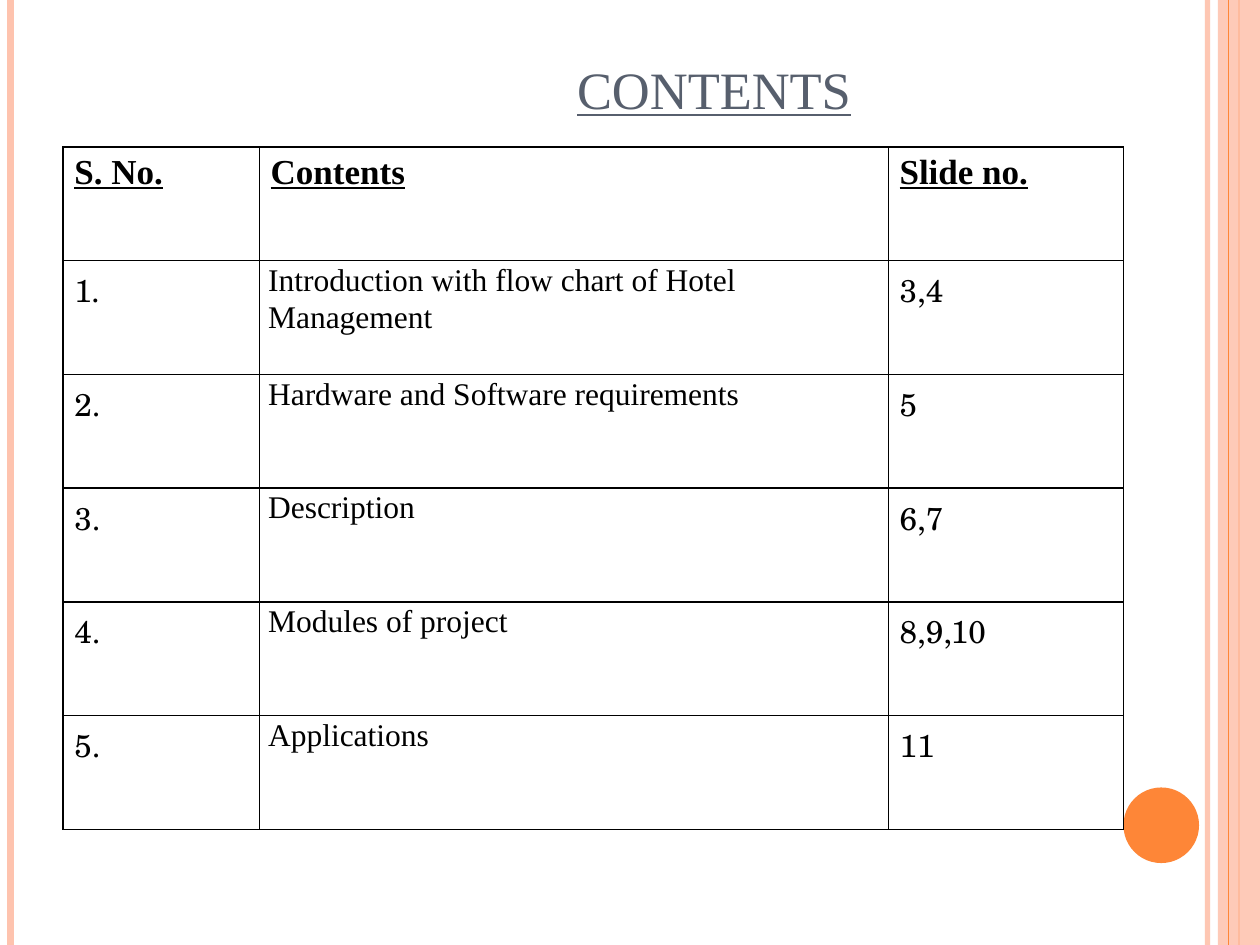
from dataclasses import dataclass
from lxml import etree
from pptx import Presentation
from pptx import util as u
from pptx.dml.color import RGBColor
from pptx.enum import shapes, text
from pptx.oxml.ns import qn


@dataclass(frozen=True)
class Theme:
    peach: str = "FEC3AE"
    orange: str = "FE8637"
    slate: str = "575F6D"
    black: str = "000000"
    serif: str = "Times New Roman"
    school: str = "TeX Gyre Schola"
    title: int = 30
    header: int = 20
    body: int = 18
    border: int = 1


class ContentsSlide:
    COLUMNS, ROWS = 120, 90

    def __init__(self, presentation, theme):
        self.theme = theme
        self.slide = presentation.slides.add_slide(presentation.slide_layouts[6])
        self.column = presentation.slide_width / self.COLUMNS
        self.row = presentation.slide_height / self.ROWS

    def box(self, left, top, width, height):
        return [int(left * self.column), int(top * self.row),
                int(width * self.column), int(height * self.row)]

    def apply(self, target, values):
        for name, value in values.items():
            setattr(target, name, value)

    def fade(self, fill, opacity):
        color = fill._xPr.find(qn("a:solidFill"))[0]
        etree.SubElement(color, qn("a:alpha"), val=str(opacity * 1000))

    def stripe(self, column, color, width, opacity=100):
        x = int(column * self.column)
        line = self.slide.shapes.add_connector(
            shapes.MSO_CONNECTOR.STRAIGHT, x, 0, x, int(self.ROWS * self.row))
        line.line.color.rgb = RGBColor.from_string(color)
        line.line.width = u.Pt(width)
        etree.SubElement(line._element.spPr, qn("a:effectLst"))
        if opacity < 100:
            self.fade(line.line.fill, opacity)

    def block(self, kind, place, color, opacity=100):
        shape = self.slide.shapes.add_shape(kind, *self.box(*place))
        shape.shadow.inherit = False
        shape.fill.solid()
        shape.fill.fore_color.rgb = RGBColor.from_string(color)
        shape.line.fill.background()
        if opacity < 100:
            self.fade(shape.fill, opacity)

    def add_text(self, frame, content, color, font, paragraph_format):
        paragraph = frame.paragraphs[0]
        self.apply(paragraph, paragraph_format)
        run = paragraph.add_run()
        run.text = content
        self.apply(run.font, font)
        run.font.color.rgb = RGBColor.from_string(color)

    def title(self, content, place, indent):
        frame = self.slide.shapes.add_textbox(*self.box(*place)).text_frame
        self.apply(frame, dict(word_wrap=True, margin_left=int(indent * self.column),
                               vertical_anchor=text.MSO_ANCHOR.BOTTOM))
        self.add_text(frame, content, self.theme.slate,
                      dict(name=self.theme.serif, size=u.Pt(self.theme.title), underline=True),
                      dict(alignment=text.PP_ALIGN.CENTER))

    def border(self, cell):
        properties = cell._tc.get_or_add_tcPr()
        for index, side in enumerate(("lnL", "lnR", "lnT", "lnB")):
            line = etree.Element(qn(f"a:{side}"), w=str(u.Pt(self.theme.border)))
            fill = etree.SubElement(line, qn("a:solidFill"))
            etree.SubElement(fill, qn("a:srgbClr"), val=self.theme.black)
            properties.insert(index, line)

    def cell_style(self, row, column):
        theme = self.theme
        margins = (0.09, 0.05)
        font = dict(name=theme.school, size=u.Pt(theme.body), bold=False)
        layout = dict(alignment=text.PP_ALIGN.LEFT)
        if row == 0:
            font = dict(name=theme.serif, size=u.Pt(theme.header), bold=True, underline=True)
            if column == 1:
                layout = dict(alignment=text.PP_ALIGN.JUSTIFY)
        elif column == 1:
            margins = (0.07, 0)
            font["name"] = theme.serif
            layout["line_spacing"] = 1.07
        return margins, font, layout

    def table(self, rows, place, widths):
        table = self.slide.shapes.add_table(len(rows), len(widths), *self.box(*place)).table
        self.apply(table, dict(first_row=False, horz_banding=False))
        for column, width in zip(table.columns, widths):
            column.width = int(width * self.column)
        for r, values in enumerate(rows):
            for c, value in enumerate(values):
                cell = table.cell(r, c)
                (side, edge), font, layout = self.cell_style(r, c)
                self.apply(cell, dict(margin_left=u.Inches(side), margin_right=u.Inches(side),
                                      margin_top=u.Inches(edge), margin_bottom=u.Inches(edge)))
                cell.fill.background()
                self.border(cell)
                self.add_text(cell.text_frame, value, self.theme.black, font, layout)


CONTENTS = [
    ("Introduction with flow chart of Hotel Management", "3,4"),
    ("Hardware and Software requirements", "5"),
    ("Description", "6,7"),
    ("Modules of project", "8,9,10"),
    ("Applications", "11"),
]

presentation = Presentation()
presentation.slide_width = u.Inches(10)
presentation.slide_height = u.Inches(7.5)
theme = Theme()
page = ContentsSlide(presentation, theme)

page.stripe(115, theme.peach, 3, 93)
page.stripe(1, theme.peach, 4.5)
page.stripe(118, theme.orange, 1.5)
page.block(shapes.MSO_SHAPE.RECTANGLE, (116, 0, 4, 90), theme.peach, 87)
page.stripe(117, theme.orange, 0.75)
page.block(shapes.MSO_SHAPE.OVAL, (107, 75, 7.2, 7.2), theme.orange)

page.title("CONTENTS", (6, 2, 98, 10), 27.2)
entries = [(f"{number}.", *entry) for number, entry in enumerate(CONTENTS, 1)]
page.table([("S. No.", "Contents", "Slide no."), *entries],
           (6, 14, 101, 65), (18.7, 59.9, 22.4))

presentation.save("out.pptx")
